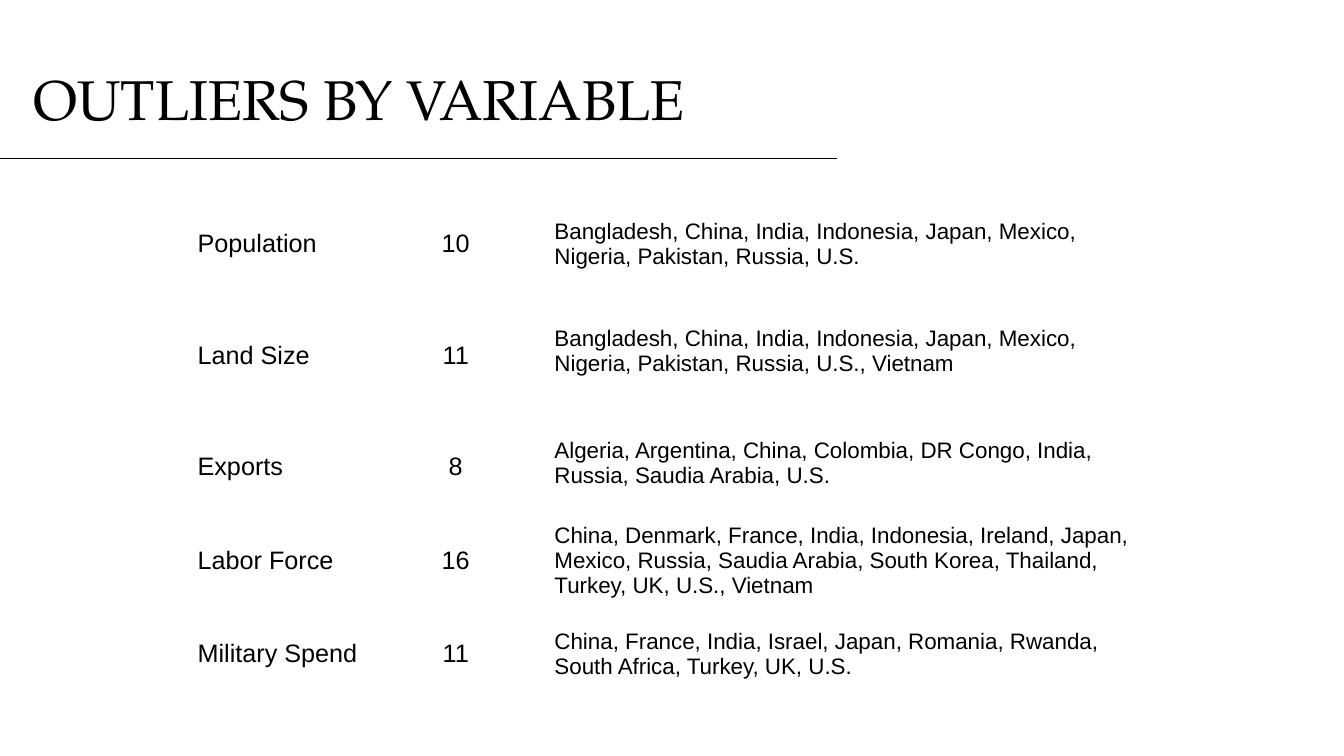
from lxml import etree
from pptx import Presentation
from pptx.dml.color import RGBColor
from pptx.enum import shapes, text
from pptx.oxml import ns
from pptx.util import Inches, Pt

TITLE = "OUTLIERS BY VARIABLE"
# variable, number of outliers, countries, row height
OUTLIERS = [
    ("Population", "10", "Bangladesh, China, India, Indonesia, Japan, Mexico, "
     "Nigeria, Pakistan, Russia, U.S.", 0.8),
    ("Land Size", "11", "Bangladesh, China, India, Indonesia, Japan, Mexico, "
     "Nigeria, Pakistan, Russia, U.S., Vietnam", 1.41),
    ("Exports", "8", "Algeria, Argentina, China, Colombia, DR Congo, India, "
     "Russia, Saudia Arabia, U.S.", 0.8),
    ("Labor Force", "16", "China, Denmark, France, India, Indonesia, Ireland, Japan, "
     "Mexico, Russia, Saudia Arabia, South Korea, Thailand, Turkey, UK, U.S., Vietnam", 1.06),
    ("Military Spend", "11", "China, France, India, Israel, Japan, Romania, Rwanda, "
     "South Africa, Turkey, UK, U.S.", 0.8),
]
COLUMN_WIDTHS = (2.22, 1.32, 6.12)
INSET = 0.12
COUNT_RIGHT_INSET = 0.52
LAND_SIZE_BOTTOM_INSET = 0.2
COLORS = {"ink": "000000"}
FONTS = {"title": "TeX Gyre Pagella", "body": "Arial"}


def write(frame, words, *, font, size, align=text.PP_ALIGN.LEFT, spacing=None):
    paragraph = frame.paragraphs[0]
    paragraph.text = words
    paragraph.alignment = align
    paragraph.line_spacing = spacing
    paragraph.font.name = font
    paragraph.font.size = Pt(size)
    paragraph.font.color.rgb = RGBColor.from_string(COLORS["ink"])


def add_title(slide):
    title = slide.shapes.title
    title.left, title.top = Inches(0.23), Inches(0.19)
    title.width, title.height = Inches(11.5), Inches(1.65)
    frame = title.text_frame
    frame.word_wrap = True
    frame.auto_size = text.MSO_AUTO_SIZE.NONE
    frame.vertical_anchor = text.MSO_ANCHOR.MIDDLE
    write(frame, TITLE, font=FONTS["title"], size=40, spacing=0.9)


def add_outlier_table(slide):
    height = sum(row[-1] for row in OUTLIERS)
    table = slide.shapes.add_table(
        len(OUTLIERS), len(COLUMN_WIDTHS), Inches(1.84), Inches(2.02),
        Inches(sum(COLUMN_WIDTHS)), Inches(height)).table
    table.first_row = table.horz_banding = False
    for column, width in zip(table.columns, COLUMN_WIDTHS):
        column.width = Inches(width)

    formats = ({"size": 18}, {"size": 18, "align": text.PP_ALIGN.CENTER}, {"size": 16})
    for row_index, (*words, row_height) in enumerate(OUTLIERS):
        table.rows[row_index].height = Inches(row_height)
        for column_index, (content, style) in enumerate(zip(words, formats)):
            cell = table.cell(row_index, column_index)
            cell.fill.background()
            cell.vertical_anchor = text.MSO_ANCHOR.MIDDLE
            cell.margin_left = cell.margin_right = Inches(INSET)
            cell.margin_top = cell.margin_bottom = Inches(INSET)
            write(cell.text_frame, content, font=FONTS["body"], **style)
        table.cell(row_index, 1).margin_right = Inches(COUNT_RIGHT_INSET)

    table.cell(1, 2).margin_bottom = Inches(LAND_SIZE_BOTTOM_INSET)
    table.cell(2, 2).vertical_anchor = text.MSO_ANCHOR.TOP


def add_title_rule(slide):
    rule = slide.shapes.add_connector(
        shapes.MSO_CONNECTOR.STRAIGHT, 0, Inches(1.57), Inches(8.3), Inches(1.57))
    rule.line.color.rgb = RGBColor.from_string(COLORS["ink"])
    rule.line.width = Pt(0.5)
    etree.SubElement(rule._element.spPr, ns.qn("a:effectLst"))


def main():
    presentation = Presentation()
    presentation.slide_width = Inches(13.33)
    presentation.slide_height = Inches(7.5)
    slide = presentation.slides.add_slide(presentation.slide_layouts[5])
    add_title(slide)
    add_outlier_table(slide)
    add_title_rule(slide)
    presentation.save("out.pptx")


if __name__ == "__main__":
    main()
